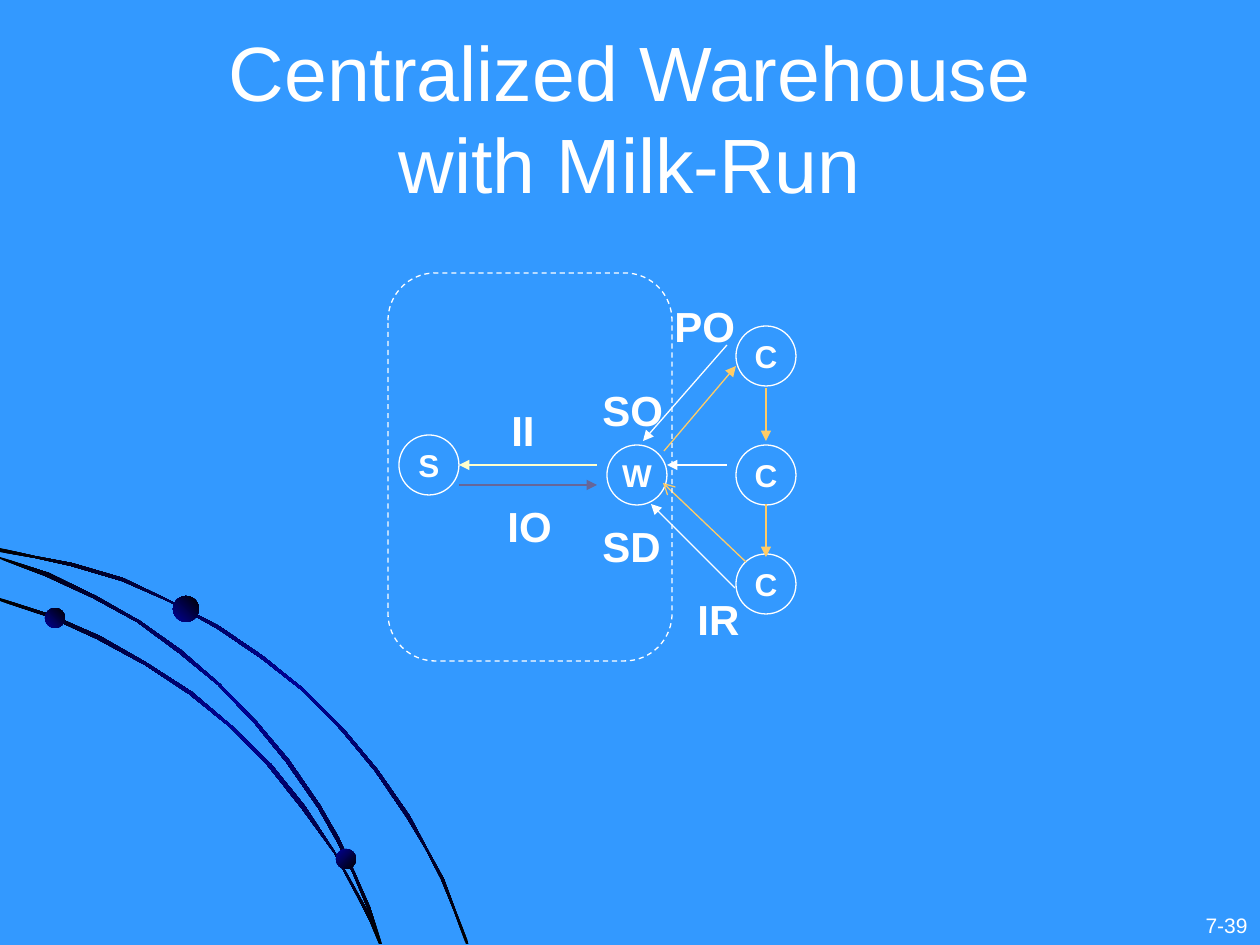
from lxml import etree
from pptx import Presentation
from pptx import util as u
from pptx.dml.color import RGBColor
from pptx.enum import dml, shapes, text
from pptx.oxml import parse_xml
from pptx.oxml.ns import nsdecls, qn

PX = 914400 / 126
BLUE, WHITE, GOLD, CREAM, SLATE = "3399FF", "FFFFFF", "FFCC66", "FFFFCC", "666699"
NAVY, BLACK = "010199", "000000"

ARCS = [
    [(72, 563), (35, 556), (0, 548), (0, 552), (35, 558), (71, 566), (122, 581),
     (170, 602), (218, 629), (262, 659), (304, 692), (341, 730), (375, 771),
     (407, 818), (425, 848), (441, 879), (454, 911), (466, 944), (469, 944),
     (456, 911), (444, 879), (427, 848), (410, 816), (378, 770), (343, 728),
     (305, 690), (263, 656), (219, 626), (171, 601), (123, 578)],
    [(359, 900), (370, 922), (379, 944), (382, 944), (373, 920), (360, 897),
     (335, 852), (305, 806), (271, 764), (232, 726), (192, 692), (147, 663),
     (100, 636), (52, 615), (0, 598), (0, 601), (49, 617), (97, 639), (145, 665),
     (189, 694), (231, 728), (268, 766), (302, 809), (334, 853)],
    [(0, 557), (0, 559), (45, 576), (93, 598), (137, 622), (179, 653), (218, 685),
     (255, 724), (286, 762), (318, 808), (336, 840), (353, 874), (368, 910),
     (379, 944), (382, 944), (370, 907), (355, 873), (339, 838), (320, 805),
     (289, 760), (257, 722), (220, 684), (181, 650), (140, 621), (96, 596),
     (49, 573)],
]
BALLS = [(45, 608, 20, 315), (336, 849, 20, 45), (173, 596, 26, 315)]
NODES = [("S", 399, 435), ("W", 607, 445), ("C", 736, 326), ("C", 736, 445), ("C", 736, 554)]
LABELS = [("SO", 590, 378, 86), ("SD", 590, 514, 83), ("II", 499, 398, 48),
          ("IO", 495, 494, 77), ("PO", 662, 294, 86), ("IR", 685, 587, 67)]
ARROWS = [
    (727, 345, 643, 441, WHITE, "triangle"),
    (664, 451, 736, 366, GOLD, "triangle"),
    (597, 465, 459, 465, CREAM, "triangle"),
    (459, 485, 597, 485, SLATE, "triangle"),
    (727, 465, 667, 465, WHITE, "triangle"),
    (735, 588, 651, 504, WHITE, "triangle"),
    (746, 562, 663, 483, GOLD, "arrow"),
    (766, 388, 766, 441, GOLD, "triangle"),
    (766, 504, 766, 557, GOLD, "triangle"),
]


def px(*values):
    """Turn pixel lengths into EMU."""
    return [u.Emu(round(v * PX)) for v in values]


def rgb(color):
    """Turn a hex string into a colour."""
    return RGBColor.from_string(color)


def write(tf, words, size, bold=False, align=text.PP_ALIGN.LEFT,
          anchor=text.MSO_ANCHOR.TOP, wrap=False):
    """Put formatted white text in a text frame."""
    tf.auto_size = text.MSO_AUTO_SIZE.NONE
    tf.word_wrap = wrap
    tf.vertical_anchor = anchor
    p = tf.paragraphs[0]
    p.text = words
    p.alignment = align
    for r in p.runs:
        r.font.name = "Arial"
        r.font.size = u.Pt(size)
        r.font.bold = bold
        r.font.color.rgb = rgb(WHITE)


def outline(line, color):
    """Give a line its colour and thin width."""
    line.color.rgb = rgb(color)
    line.width = u.Pt(0.75)


def add_shape(s, kind, x, y, w, h):
    """Add a preset shape without shadow or fill."""
    sp = s.shapes.add_shape(kind, *px(x, y, w, h))
    sp.shadow.inherit = False
    sp.fill.background()
    return sp


def shade(sp, colors, angle):
    """Fill a shape with evenly spaced gradient stops and no outline."""
    sp.shadow.inherit = False
    sp.line.fill.background()
    sp.fill.background()
    step = 100000 // (len(colors) - 1)
    stops = "".join(f'<a:gs pos="{i * step}"><a:srgbClr val="{c}"/></a:gs>'
                    for i, c in enumerate(colors))
    sp_pr = sp.element.spPr
    sp_pr.replace(sp_pr.find(qn("a:noFill")), parse_xml(
        f'<a:gradFill {nsdecls("a")} rotWithShape="1"><a:gsLst>{stops}</a:gsLst>'
        f'<a:lin ang="{angle * 60000}" scaled="1"/></a:gradFill>'))


def add_arc(s, points):
    """Add one curved band of the decoration."""
    fb = s.shapes.build_freeform(*points[0], scale=PX)
    fb.add_line_segments(points[1:], close=True)
    shade(fb.convert_to_shape(), [BLACK, NAVY, BLACK], 45)


def add_ball(s, x, y, size, angle):
    """Add one shaded ball of the decoration."""
    shade(add_shape(s, shapes.MSO_SHAPE.OVAL, x, y, size, size), [NAVY, BLACK], angle)


def add_node(s, name, x, y):
    """Add a lettered circle."""
    sp = add_shape(s, shapes.MSO_SHAPE.OVAL, x, y, 60, 60)
    sp.fill.solid()
    sp.fill.fore_color.rgb = rgb(BLUE)
    outline(sp.line, WHITE)
    write(sp.text_frame, name, 18, bold=True, align=text.PP_ALIGN.CENTER,
          anchor=text.MSO_ANCHOR.MIDDLE)


def add_label(s, words, x, y, w, h=63, size=24, **fmt):
    """Add a text box."""
    sp = s.shapes.add_textbox(*px(x, y, w, h))
    write(sp.text_frame, words, size, **fmt)


def add_arrow(s, x1, y1, x2, y2, color, head):
    """Add a straight arrow with its head at the second point."""
    c = s.shapes.add_connector(shapes.MSO_CONNECTOR.STRAIGHT, *px(x1, y1, x2, y2))
    outline(c.line, color)
    etree.SubElement(c.line._get_or_add_ln(), qn("a:tailEnd"), type=head)
    etree.SubElement(c.element.spPr, qn("a:effectLst"))


def add_boundary(s):
    """Add the dashed frame around supplier and warehouse."""
    sp = add_shape(s, shapes.MSO_SHAPE.ROUNDED_RECTANGLE, 388, 273, 284, 388)
    outline(sp.line, WHITE)
    sp.line.dash_style = dml.MSO_LINE.DASH


def main():
    """Build the slide and save it."""
    prs = Presentation()
    prs.slide_width, prs.slide_height = px(1260, 945)
    s = prs.slides.add_slide(prs.slide_layouts[5])
    s.background.fill.solid()
    s.background.fill.fore_color.rgb = rgb(BLUE)
    title = s.shapes.title
    title.left, title.top, title.width, title.height = px(63, 38, 1134, 158)
    write(title.text_frame, "Centralized Warehouse\nwith Milk-Run", 44, wrap=True,
          align=text.PP_ALIGN.CENTER, anchor=text.MSO_ANCHOR.MIDDLE)
    for points in ARCS:
        add_arc(s, points)
    for ball in BALLS:
        add_ball(s, *ball)
    add_label(s, "7-39", 1181, 906, 79, 38, size=12, align=text.PP_ALIGN.RIGHT, wrap=True)
    for node in NODES:
        add_node(s, *node)
    for label in LABELS:
        add_label(s, *label, bold=True)
    for arrow in ARROWS:
        add_arrow(s, *arrow)
    add_boundary(s)
    prs.save("out.pptx")


if __name__ == "__main__":
    main()
